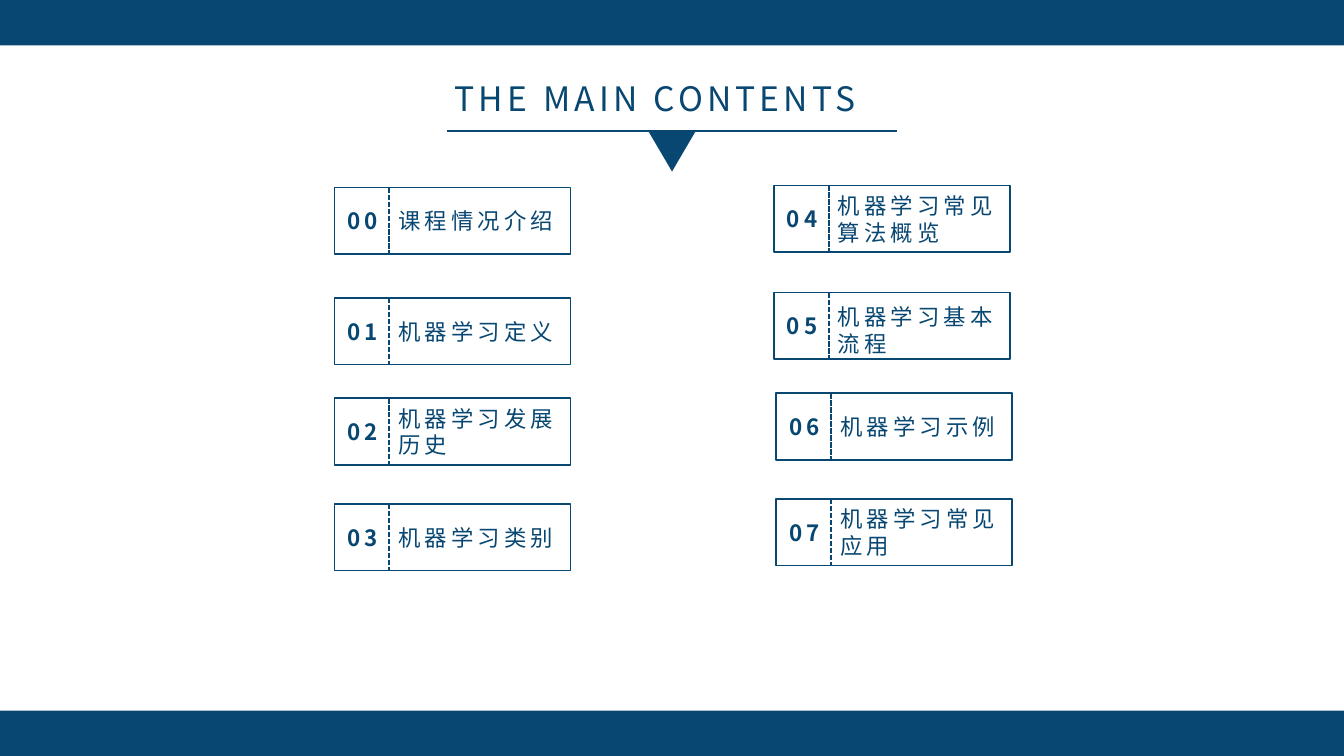
from lxml.etree import SubElement
from pptx import Presentation
from pptx.dml.color import RGBColor
from pptx.enum.dml import MSO_LINE
from pptx.enum.shapes import MSO_CONNECTOR, MSO_SHAPE
from pptx.enum.text import MSO_ANCHOR, MSO_AUTO_SIZE, PP_ALIGN
from pptx.oxml.ns import qn
from pptx.util import Pt

NAVY = RGBColor(0x08, 0x47, 0x72)
FACE = "Noto Sans CJK SC"
WIDE, HIGH = 960, 540
BAR = 32.4
CARD_W, CARD_H = 168.5, 47.5
SPLIT = 39

# Number, label, card left, card top, label drop
CARDS = [
    ("00", "课程情况介绍", 239, 134, 0),
    ("01", "机器学习定义", 239, 213, 0),
    ("02", "机器学习发展历史", 239, 284.5, 0),
    ("03", "机器学习类别", 239, 360, 0),
    ("04", "机器学习常见算法概览", 553, 132.5, 0),
    ("05", "机器学习基本流程", 553, 209, 3),
    ("06", "机器学习示例", 554.5, 281, 0),
    ("07", "机器学习常见应用", 554.5, 356.5, 0),
]


def place(shape, left, top, width, height):
    """Move and size a shape, in points."""
    shape.left, shape.top = Pt(left), Pt(top)
    shape.width, shape.height = Pt(width), Pt(height)


def write(shape, text, size, bold=False):
    """Put one line of spaced navy text in a shape."""
    frame = shape.text_frame
    frame.word_wrap = True
    frame.auto_size = MSO_AUTO_SIZE.NONE
    frame.vertical_anchor = MSO_ANCHOR.MIDDLE
    frame.text = text
    para = frame.paragraphs[0]
    para.alignment = PP_ALIGN.LEFT
    font = para.font
    font.size, font.bold, font.name = Pt(size), bold, FACE
    font.color.rgb = NAVY
    props = para._p.pPr.find(qn("a:defRPr"))
    props.set("spc", "300")
    SubElement(props, qn("a:ea")).set("typeface", FACE)


def add_text(shapes, text, box, size, bold=False):
    """Add a text box."""
    write(shapes.add_textbox(*map(Pt, box)), text, size, bold)


def add_solid(shapes, kind, box):
    """Add a navy shape with no outline."""
    shape = shapes.add_shape(kind, *map(Pt, box))
    shape.shadow.inherit = False
    shape.fill.solid()
    shape.fill.fore_color.rgb = NAVY
    shape.line.fill.background()
    return shape


def add_frame(shapes, box):
    """Add an unfilled navy rectangle."""
    frame = shapes.add_shape(MSO_SHAPE.RECTANGLE, *map(Pt, box))
    frame.shadow.inherit = False
    frame.fill.background()
    frame.line.color.rgb = NAVY
    frame.line.width = Pt(1.25)


def add_line(shapes, ends, width, dash=None):
    """Add a straight navy line."""
    line = shapes.add_connector(MSO_CONNECTOR.STRAIGHT, *map(Pt, ends))
    line.line.color.rgb = NAVY
    line.line.width = Pt(width)
    line.line.dash_style = dash
    SubElement(line._element.spPr, qn("a:effectLst"))


def add_card(slide, number, label, left, top, drop):
    """Add a grouped card: frame, number, label and divider."""
    shapes = slide.shapes.add_group_shape().shapes
    split = left + SPLIT
    add_frame(shapes, (left, top, CARD_W, CARD_H))
    add_text(shapes, number, (left + 2, top, 42.5, CARD_H), 16, True)
    add_text(shapes, label, (split - 0.5, top + drop, 136, CARD_H), 16)
    add_line(shapes, (split, top, split, top + CARD_H), 1.25,
             MSO_LINE.SQUARE_DOT)


def add_head(slide):
    """Fill the title and add its rule and pointer."""
    title = slide.shapes.title
    place(title, 317.5, 52, 325.5, 36)
    write(title, "THE MAIN CONTENTS", 24)
    add_line(slide.shapes, (319, 93.5, 641, 93.5), 1.5)
    mark = add_solid(slide.shapes, MSO_SHAPE.ISOSCELES_TRIANGLE,
                     (463, 93.5, 34, 29))
    mark.rotation = 180


def main():
    """Build and save the contents slide."""
    deck = Presentation()
    deck.slide_width, deck.slide_height = Pt(WIDE), Pt(HIGH)
    slide = deck.slides.add_slide(deck.slide_layouts[5])
    for top in (0, HIGH - BAR):
        add_solid(slide.shapes, MSO_SHAPE.RECTANGLE, (0, top, WIDE, BAR))
    add_head(slide)
    for card in CARDS:
        add_card(slide, *card)
    deck.save("out.pptx")


main()
